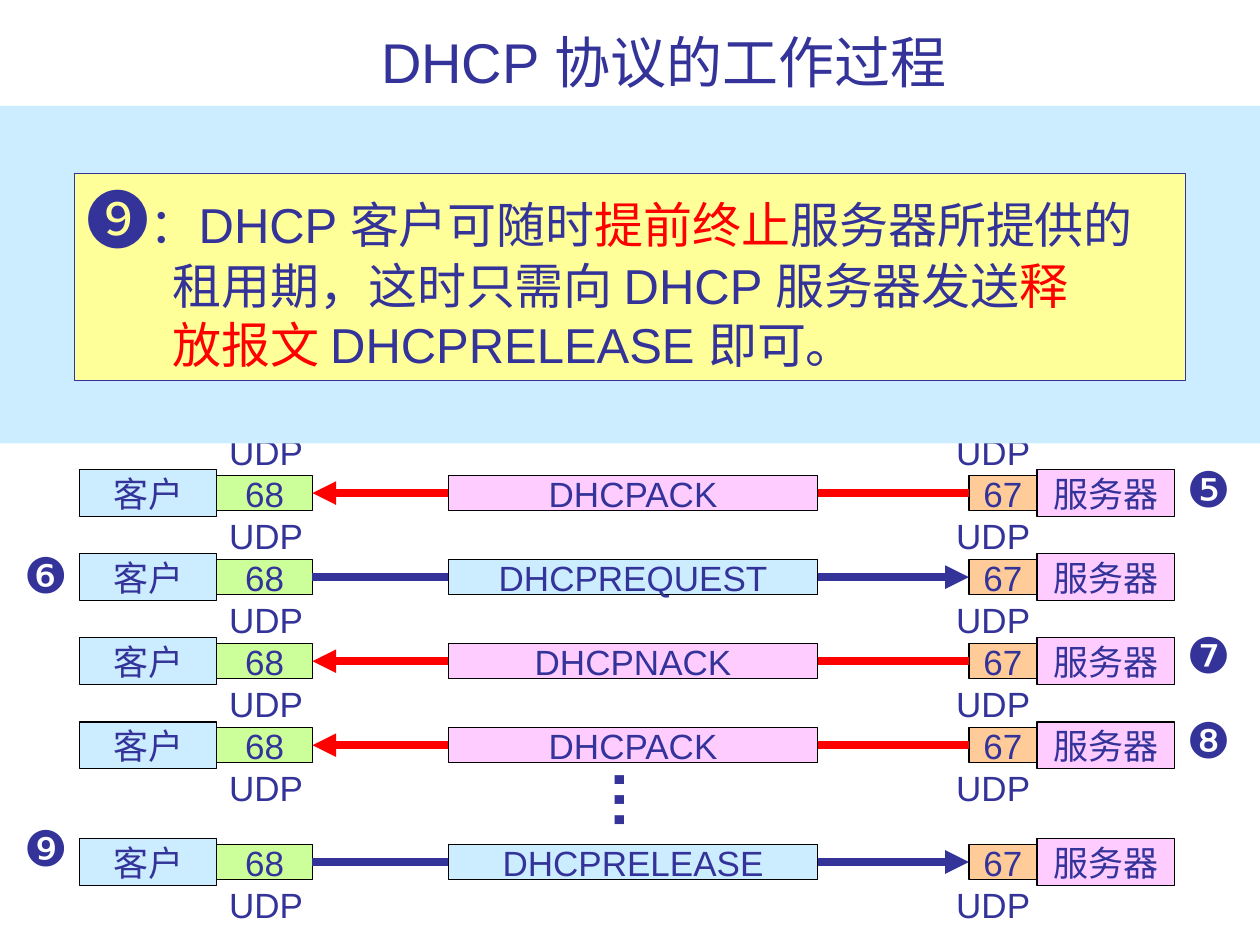
from dataclasses import dataclass

from lxml.etree import SubElement
from pptx import Presentation
from pptx.dml.color import RGBColor
from pptx.enum.shapes import MSO_CONNECTOR as Connector, MSO_SHAPE as Preset
from pptx.enum.text import MSO_ANCHOR as Anchor, MSO_AUTO_SIZE as AutoSize, PP_ALIGN as Align
from pptx.oxml.ns import qn
from pptx.util import Inches, Pt

# The slide is a grid of 100 columns by 75 rows; one cell is a tenth of an inch.
COLUMNS, ROWS, CELL = 100, 75, 0.1
ROW_PITCH = 6.67
LEFT_SIDE, RIGHT_SIDE = 1, 3


@dataclass(frozen=True)
class Theme:
    font: str = "Arial"
    ink: str = "333399"
    red: str = "FF0000"
    black: str = "000000"
    sky: str = "CCECFF"
    pink: str = "FFCCFF"
    orange: str = "FFCC99"
    green: str = "CCFF99"
    yellow: str = "FFFF99"
    title_size: int = 32
    label_size: int = 20
    body_size: int = 28
    big_size: int = 36
    outline: float = 0.75
    arrow: float = 4.5


@dataclass(frozen=True)
class Box:
    left: float
    top: float
    width: float
    height: float

    def inner(self, left, top, width, height):
        """A box placed relative to this one."""
        return Box(self.left + left, self.top + top, width, height)

    def centred(self, left, width, height):
        """An inner box centred between this one's top and bottom."""
        return self.inner(left, (self.height - height) / 2, width, height)

    def place(self):
        return [Inches(cells * CELL) for cells in (self.left, self.top, self.width, self.height)]


THEME = Theme()


def rgb(colour):
    return RGBColor.from_string(colour)


def apply_format(target, values):
    for name, value in values.items():
        setattr(target, name, value)


def add_run(paragraph, text, size, colour=THEME.ink, bold=None):
    run = paragraph.add_run()
    run.text = text
    apply_format(run.font, {"name": THEME.font, "size": Pt(size), "bold": bold})
    run.font.color.rgb = rgb(colour)


def add_label(slide, box, text, size, frame_format=None, align=None, bold=None):
    shape = slide.shapes.add_textbox(*box.place())
    frame = shape.text_frame
    apply_format(frame, frame_format or {"word_wrap": False, "auto_size": AutoSize.SHAPE_TO_FIT_TEXT})
    frame.paragraphs[0].alignment = align
    add_run(frame.paragraphs[0], text, size, bold=bold)
    return shape


def add_rectangle(slide, box, fill, outline=None, text=None):
    shape = slide.shapes.add_shape(Preset.RECTANGLE, *box.place())
    shape.shadow.inherit = False
    shape.fill.solid()
    shape.fill.fore_color.rgb = rgb(fill)
    if outline:
        shape.line.color.rgb = rgb(outline)
        shape.line.width = Pt(THEME.outline)
    else:
        shape.line.fill.background()
    if text:
        frame = shape.text_frame
        apply_format(frame, {"word_wrap": False, "vertical_anchor": Anchor.MIDDLE})
        frame.paragraphs[0].alignment = Align.CENTER
        add_run(frame.paragraphs[0], text, THEME.label_size)
    return shape


def add_arrow(slide, start, start_side, end, end_side, colour):
    arrow = slide.shapes.add_connector(Connector.STRAIGHT, 0, 0, 0, 0)
    arrow.begin_connect(start, start_side)
    arrow.end_connect(end, end_side)
    arrow.line.color.rgb = rgb(colour)
    arrow.line.width = Pt(THEME.arrow)
    # Arrowhead, and no shadow
    properties = arrow._element.spPr
    SubElement(properties.find(qn("a:ln")), qn("a:tailEnd"), type="triangle")
    SubElement(properties, qn("a:effectLst"))


def add_title(slide, box):
    frame_format = {"word_wrap": True, "vertical_anchor": Anchor.BOTTOM}
    add_label(slide, box, "DHCP 协议的工作过程", THEME.title_size, frame_format, Align.CENTER)


def add_udp_labels(slide, box):
    for left in (17.2, 74.9):
        add_label(slide, box.inner(left, 0, 7.9, 4.4), "UDP", THEME.label_size)


def add_exchange(slide, box, message, from_client, number, lift):
    """One message between client and server, centred in its row."""
    # End points and their ports
    add_rectangle(slide, box.centred(6.3, 10.9, 3.7), THEME.sky, THEME.black, "客户")
    add_rectangle(slide, box.centred(82.3, 10.9, 3.7), THEME.pink, THEME.black, "服务器")
    client_port = add_rectangle(slide, box.centred(17.2, 7.6, 2.8), THEME.green, THEME.black, "68")
    server_port = add_rectangle(slide, box.centred(76.9, 5.4, 2.8), THEME.orange, THEME.black, "67")

    # Arrow and message, coloured by direction
    ends = [(client_port, RIGHT_SIDE), (server_port, LEFT_SIDE)]
    colour, fill, badge_left = THEME.ink, THEME.sky, 0.9
    if not from_client:
        ends.reverse()
        colour, fill, badge_left = THEME.red, THEME.pink, 93.2
    add_arrow(slide, *ends[0], *ends[1], colour)
    add_rectangle(slide, box.centred(35.6, 29.3, 2.8), fill, THEME.black, message)

    # Step number beside the sender
    badge = box.inner(badge_left, box.height / 2 - lift, 5.5, 5.7)
    add_label(slide, badge, number, THEME.body_size)


def add_exchanges(slide, box):
    exchanges = [
        # message, from client, number, rows from number's top to the arrow
        ("DHCPACK", False, "❺", 3.2),
        ("DHCPREQUEST", True, "❻", 3.1),
        ("DHCPNACK", False, "❼", 3.4),
        ("DHCPACK", False, "❽", 3.3),
        ("DHCPRELEASE", True, "❾", 4.0),
    ]
    gap_before_last = 2.6
    label_drop = ROW_PITCH / 2 + 1.2
    add_udp_labels(slide, box.inner(0, label_drop - ROW_PITCH, COLUMNS, 4.4))
    for index, exchange in enumerate(exchanges):
        gap = gap_before_last if index == len(exchanges) - 1 else 0
        row = box.inner(0, index * ROW_PITCH + gap, COLUMNS, ROW_PITCH)
        add_exchange(slide, row, *exchange)
        add_udp_labels(slide, row.inner(0, label_drop, COLUMNS, 4.4))

    # Dots for the time that passes before the release
    dots = add_label(slide, box.inner(44.1, 24.2, 7, 7), "…", THEME.big_size, bold=True)
    dots.rotation = 270


def add_explanation(slide, box):
    add_rectangle(slide, box, THEME.sky)
    note = add_rectangle(slide, box.inner(5.9, 5.4, 88.2, 16.4), THEME.yellow, THEME.ink)
    frame = note.text_frame
    apply_format(frame, {"word_wrap": True, "vertical_anchor": Anchor.TOP})
    size, ink, red = THEME.body_size, THEME.ink, THEME.red
    lines = [
        [("❾", THEME.big_size, ink), ("：DHCP 客户可随时", size, ink),
         ("提前终止", size, red), ("服务器所提供的", size, ink)],
        [("租用期，这时只需向 DHCP 服务器发送", size, ink), ("释", size, red)],
        [("放报文 ", size, red), ("DHCPRELEASE 即可。", size, ink)],
    ]
    for index, runs in enumerate(lines):
        paragraph = frame.add_paragraph() if index else frame.paragraphs[0]
        paragraph.alignment = Align.JUSTIFY
        if index:
            paragraph._p.get_or_add_pPr().set("marL", str(Inches(0.68)))
        for run in runs:
            add_run(paragraph, *run)


def main():
    presentation = Presentation()
    presentation.slide_width = Inches(COLUMNS * CELL)
    presentation.slide_height = Inches(ROWS * CELL)
    slide = presentation.slides.add_slide(presentation.slide_layouts[6])
    add_title(slide, Box(10.1, 2.1, 85.2, 5.9))
    add_exchanges(slide, Box(0, 35.8, COLUMNS, 36))
    add_explanation(slide, Box(0, 8.4, COLUMNS, 26.8))
    presentation.save("out.pptx")


if __name__ == "__main__":
    main()
